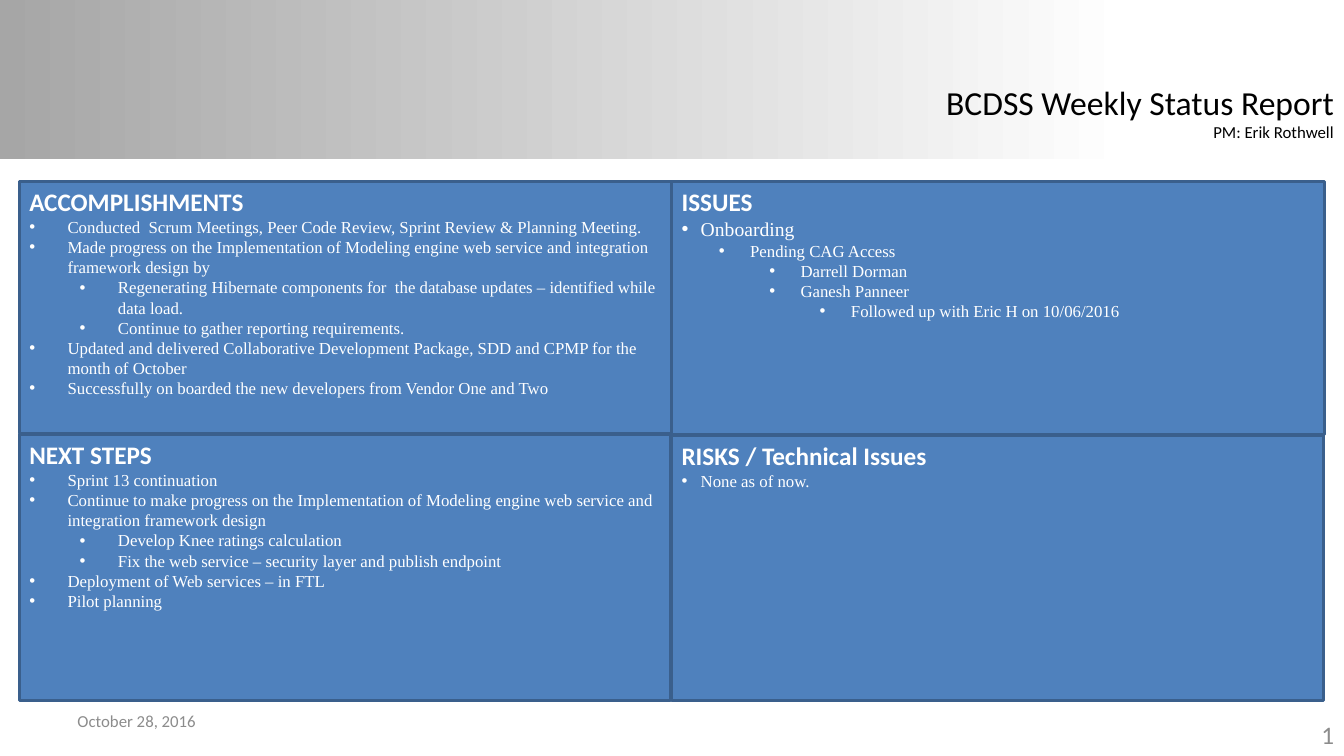
from dataclasses import dataclass

from lxml.etree import SubElement
from pptx import Presentation
from pptx.dml.color import RGBColor as RGB
from pptx.enum.shapes import MSO_SHAPE as Shape
from pptx.enum.text import MSO_ANCHOR as Anchor, MSO_AUTO_SIZE as AutoSize, PP_ALIGN as Align
from pptx.oxml.ns import qn
from pptx.util import Inches, Pt


@dataclass(frozen=True)
class Theme:
    heading_font: str = "Calibri"
    list_font: str = "Times New Roman"
    black: RGB = RGB(0x00, 0x00, 0x00)
    white: RGB = RGB(0xFF, 0xFF, 0xFF)
    gray: RGB = RGB(0x8C, 0x8C, 0x8C)
    band: RGB = RGB(0xA6, 0xA6, 0xA6)
    panel: RGB = RGB(0x4F, 0x81, 0xBD)
    border: RGB = RGB(0x3A, 0x5F, 0x8C)
    title: int = 24
    heading: int = 18
    lead: int = 14
    small: int = 12


@dataclass(frozen=True)
class Indent:
    """Hanging indents in inches; nested levels step by half an inch."""
    first: float
    nested_start: float
    nested_hang: float

    def at(self, level):
        if level == 0:
            return self.first, self.first
        return self.nested_start + 0.5 * level, self.nested_hang


WIDE = Indent(0.38, 0.38, 0.38)
NARROW = Indent(0.19, 0.18, 0.31)
LEFT, RIGHT, TOP, BOTTOM = 0.19, 6.66, 1.8, 4.31

# placeholder index, heading, box, indents, [(level, text)], size of the first item
PANELS = [
    (1, "ACCOMPLISHMENTS", (LEFT, TOP, 6.47, 2.5), WIDE, [
        (0, "Conducted  Scrum Meetings, Peer Code Review, Sprint Review & Planning Meeting."),
        (0, "Made progress on the Implementation of Modeling engine web service and "
            "integration framework design by"),
        (1, "Regenerating Hibernate components for  the database updates – identified "
            "while data load."),
        (1, "Continue to gather reporting requirements."),
        (0, "Updated and delivered Collaborative Development Package, SDD and CPMP "
            "for the month of October"),
        (0, "Successfully on boarded the new developers from Vendor One and Two"),
    ], Theme.small),
    (2, "NEXT STEPS", (LEFT, BOTTOM, 6.46, 2.64), WIDE, [
        (0, "Sprint 13 continuation"),
        (0, "Continue to make progress on the Implementation of Modeling engine web "
            "service and integration framework design"),
        (1, "Develop Knee ratings calculation"),
        (1, "Fix the web service – security layer and publish endpoint"),
        (0, "Deployment of Web services – in FTL"),
        (0, "Pilot planning"),
    ], Theme.small),
    (3, "ISSUES", (RIGHT, TOP, 6.48, 2.51), NARROW, [
        (0, "Onboarding"),
        (1, "Pending CAG Access"),
        (2, "Darrell Dorman"),
        (2, "Ganesh Panneer"),
        (3, "Followed up with Eric H on 10/06/2016"),
    ], Theme.lead),
    (4, "RISKS / Technical Issues", (RIGHT, 4.32, 6.47, 2.63), NARROW, [
        (0, "None as of now."),
    ], Theme.small),
]


class StatusSlide:
    def __init__(self, presentation, theme):
        self.theme = theme
        comparison_layout = presentation.slide_layouts[4]
        self.slide = presentation.slides.add_slide(comparison_layout)

    def place(self, shape, box):
        shape.left, shape.top, shape.width, shape.height = map(Inches, box)

    def style(self, paragraph, size, color, font=None, bold=False, align=Align.LEFT):
        paragraph.alignment = align
        paragraph.space_before = Pt(0)
        paragraph.font.name = font or self.theme.heading_font
        paragraph.font.size = Pt(size)
        paragraph.font.bold = bold
        paragraph.font.color.rgb = color

    def bullet(self, paragraph, margin, hang, character=None):
        properties = paragraph._p.get_or_add_pPr()
        properties.set("marL", str(Inches(margin)))
        properties.set("indent", str(-Inches(hang)))
        if character:
            SubElement(properties, qn("a:buFont")).set("typeface", "Arial")
            SubElement(properties, qn("a:buChar")).set("char", character)
        else:
            SubElement(properties, qn("a:buNone"))

    def band(self, box):
        """Gradient header strip, sent behind everything else."""
        band = self.slide.shapes.add_shape(Shape.RECTANGLE, *map(Inches, box))
        band.shadow.inherit = False
        band.line.fill.background()
        band.fill.gradient()
        band.fill.gradient_angle = 0
        stops = ((0, self.theme.band), (0.84, self.theme.white))
        for stop, (position, color) in zip(band.fill.gradient_stops, stops):
            stop.position = position
            stop.color.rgb = color
        band.element.getparent().insert(2, band.element)

    def title(self, title, subtitle, box):
        shape = self.slide.shapes.title
        self.place(shape, box)
        frame = shape.text_frame
        frame.text = f"{title}\n{subtitle}"
        frame.word_wrap = False
        frame.auto_size = AutoSize.NONE
        frame.vertical_anchor = Anchor.TOP
        for paragraph, size in zip(frame.paragraphs, (self.theme.title, self.theme.small)):
            self.style(paragraph, size, self.theme.black, align=Align.RIGHT)

    def panel(self, index, heading, box, indent, items, first_size):
        theme = self.theme
        shape = self.slide.placeholders[index]
        self.place(shape, box)
        shape.fill.solid()
        shape.fill.fore_color.rgb = theme.panel
        shape.line.color.rgb = theme.border
        shape.line.width = Pt(2)
        frame = shape.text_frame
        frame.word_wrap = True
        frame.auto_size = AutoSize.NONE
        frame.vertical_anchor = Anchor.TOP
        frame.text = heading
        self.bullet(frame.paragraphs[0], 0, 0)
        self.style(frame.paragraphs[0], theme.heading, theme.white, bold=True)
        for number, (level, text) in enumerate(items):
            paragraph = frame.add_paragraph()
            paragraph.text = text
            paragraph.level = level
            self.bullet(paragraph, *indent.at(level), "•")
            size = theme.small if number else first_size
            self.style(paragraph, size, theme.white, theme.list_font)

    def footer(self, text, box, size, align):
        shape = self.slide.shapes.add_textbox(*map(Inches, box))
        frame = shape.text_frame
        frame.word_wrap = True
        frame.vertical_anchor = Anchor.MIDDLE
        frame.text = text
        self.style(frame.paragraphs[0], size, self.theme.gray, align=align)


def main():
    presentation = Presentation()
    presentation.slide_width = Inches(13.33)
    presentation.slide_height = Inches(7.5)
    theme = Theme()
    status = StatusSlide(presentation, theme)
    status.band((0, 0, 13.33, 1.58))
    status.title("BCDSS Weekly Status Report", "PM: Erik Rothwell", (9.25, 0.76, 4.08, 0.71))
    for panel in PANELS:
        status.panel(*panel)
    status.footer("October 28, 2016", (0.67, 6.95, 3.11, 0.4), theme.small, Align.LEFT)
    status.footer("1", (10.22, 7.09, 3.11, 0.4), theme.heading, Align.RIGHT)
    presentation.save("out.pptx")


if __name__ == "__main__":
    main()
